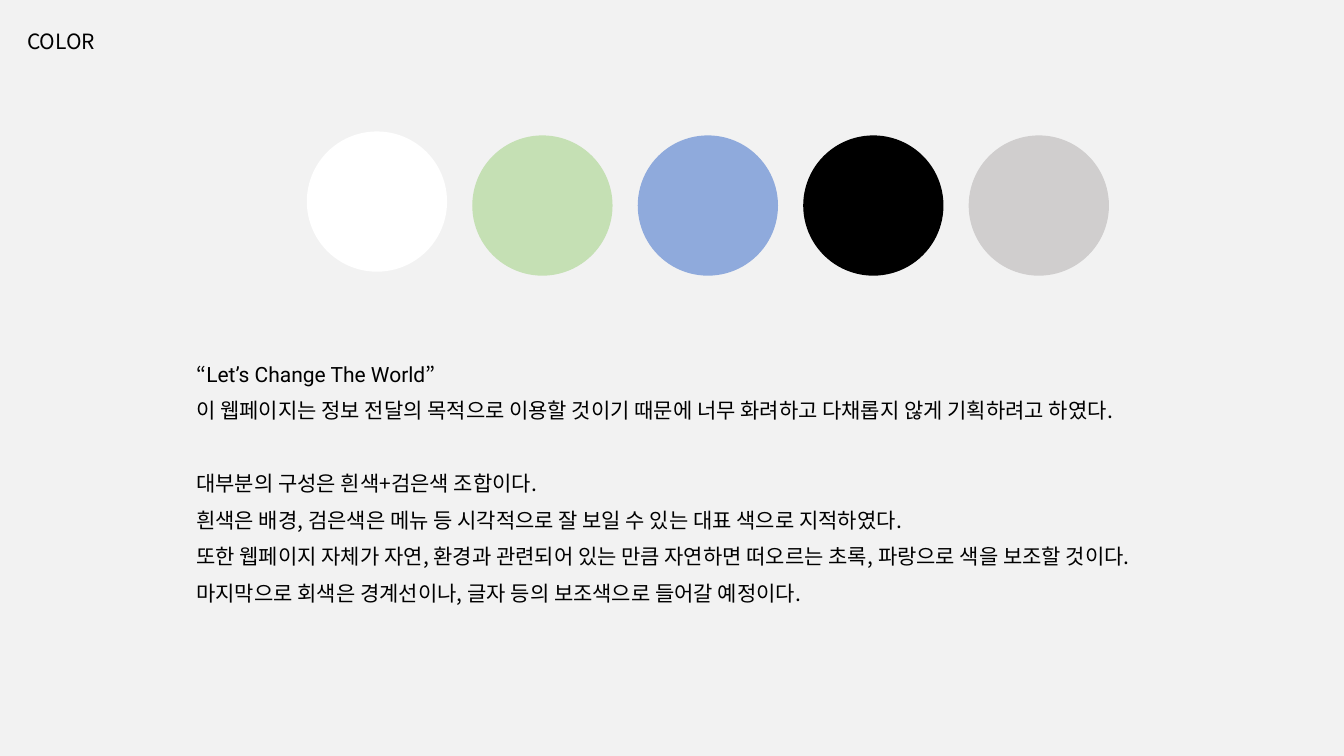
import pptx
import pptx.util
import pptx.dml.color
import pptx.enum.shapes
import pptx.enum.text
import pptx.oxml.ns
import lxml.etree
from pptx.util import Cm

KOREAN_FONT = "Noto Sans CJK KR"
LATIN_FONT = "Roboto"


def color(hex_value):
    return pptx.dml.color.RGBColor.from_string(hex_value)


def add_run(paragraph, text, font_name=KOREAN_FONT):
    run = paragraph.add_run()
    run.text = text
    run.font.size = pptx.util.Pt(15)
    run.font.color.rgb = color("000000")
    run.font.name = font_name
    east_asian = lxml.etree.SubElement(run.font._element, pptx.oxml.ns.qn("a:ea"))
    east_asian.set("typeface", KOREAN_FONT)


presentation = pptx.Presentation()
presentation.slide_width = Cm(33.87)
presentation.slide_height = Cm(19.05)
slide = presentation.slides.add_slide(presentation.slide_layouts[5])

# Background
slide.background.fill.solid()
slide.background.fill.fore_color.rgb = color("F2F2F2")

# Title
title = slide.shapes.title
title.left, title.top, title.width, title.height = Cm(0.43), Cm(0.18), Cm(3.5), Cm(1.78)
title.text_frame.vertical_anchor = pptx.enum.text.MSO_ANCHOR.MIDDLE
title_paragraph = title.text_frame.paragraphs[0]
title_paragraph.alignment = pptx.enum.text.PP_ALIGN.LEFT
title_paragraph.line_spacing = 0.9
add_run(title_paragraph, "COLOR")

# Explanation: each line is its space before in points and its runs
lines = [
    (0, [("“", KOREAN_FONT), ("Let’s Change The World", LATIN_FONT), ("”", KOREAN_FONT)]),
    (10, [("이 웹페이지는 정보 전달의 목적으로 이용할 것이기 때문에 너무 화려하고 다채롭지 않게 기획하려고 하였다.", KOREAN_FONT)]),
    (36, [("대부분의 구성은 흰색+검은색 조합이다.", KOREAN_FONT)]),
    (10, [("흰색은 배경, 검은색은 메뉴 등 시각적으로 잘 보일 수 있는 대표 색으로 지적하였다.", KOREAN_FONT)]),
    (10, [("또한 웹페이지 자체가 자연, 환경과 관련되어 있는 만큼 자연하면 떠오르는 초록, 파랑으로 색을 보조할 것이다.", KOREAN_FONT)]),
    (10, [("마지막으로 회색은 경계선이나, 글자 등의 보조색으로 들어갈 예정이다.", KOREAN_FONT)]),
]
explanation = slide.shapes.add_textbox(Cm(4.7), Cm(9.04), Cm(26.29), Cm(6.9))
text_frame = explanation.text_frame
text_frame.word_wrap = True
for index, (space_before, runs) in enumerate(lines):
    paragraph = text_frame.paragraphs[0] if index == 0 else text_frame.add_paragraph()
    paragraph.line_spacing = pptx.util.Pt(16.1)
    paragraph.space_before = pptx.util.Pt(space_before)
    for text, font_name in runs:
        add_run(paragraph, text, font_name)

# Palette circles, the white one slightly raised
palette = ["FFFFFF", "C5E0B4", "8FAADC", "000000", "D0CECE"]
for index, swatch in enumerate(palette):
    top = 3.33 if index == 0 else 3.43
    circle = slide.shapes.add_shape(
        pptx.enum.shapes.MSO_SHAPE.OVAL, Cm(7.75 + 4.17 * index), Cm(top), Cm(3.5), Cm(3.5))
    circle.shadow.inherit = False
    circle.fill.solid()
    circle.fill.fore_color.rgb = color(swatch)
    circle.line.color.rgb = color(swatch)
    circle.line.width = pptx.util.Pt(1)

presentation.save("out.pptx")
